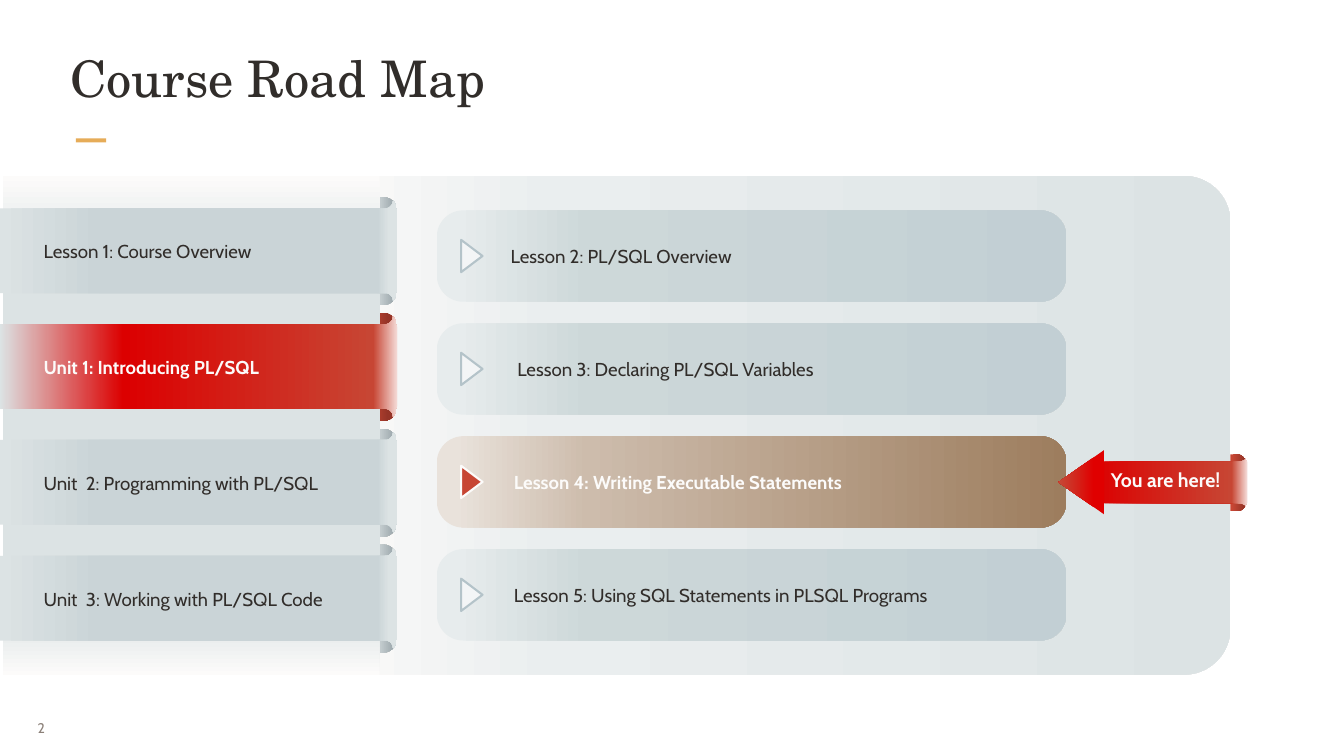
from dataclasses import dataclass

from lxml import etree
from pptx import Presentation
from pptx.dml.color import RGBColor
from pptx.enum.shapes import MSO_SHAPE
from pptx.enum.text import MSO_ANCHOR, MSO_AUTO_SIZE, PP_ALIGN
from pptx.oxml.ns import qn
from pptx.util import Pt

RECT = MSO_SHAPE.RECTANGLE
ROUND = MSO_SHAPE.ROUNDED_RECTANGLE
WEDGE = MSO_SHAPE.ISOSCELES_TRIANGLE
TOP, MIDDLE = MSO_ANCHOR.TOP, MSO_ANCHOR.MIDDLE
LEFT, CENTER = PP_ALIGN.LEFT, PP_ALIGN.CENTER
FIT, FIXED = MSO_AUTO_SIZE.SHAPE_TO_FIT_TEXT, MSO_AUTO_SIZE.NONE


@dataclass(frozen=True)
class Theme:
    head: str = "TeX Gyre Schola"
    body: str = "Cabin"
    title: int = 54
    label: int = 20
    call: int = 21
    small: int = 15
    ink: str = "312D2A"
    light: str = "FCFBFA"
    muted: str = "8B8078"
    gold: str = "E6AC58"
    red: str = "C74634"
    pale: str = "F3F5F6"
    edge: str = "B4C3C9"
    board: tuple = ((0, "FCFBFA"), (26, "EAEEEF"), (100, "DCE3E4"))
    panel: tuple = ((0, "FCFBFA"), (17, "DCE3E4"), (87, "DCE3E4"), (100, "FCFBFA"))
    bar: tuple = ((3, "E7ECED"), (24, "CDD8D9"), (100, "C2CFD4"))
    bar_on: tuple = ((3, "E9E2DB"), (24, "CDBCAC"), (100, "9D7D5E"))
    tab: tuple = ((77, "DEE4E5"), (99, "96A2A7"))
    tab_on: tuple = ((73, "C74634"), (92, "953427"))
    band: tuple = ((0, "DCE3E4"), (25, "CAD4D7"), (95, "CAD4D7"), (98, "DCE3E4"))
    band_on: tuple = ((0, "DCE3E4"), (31, "DC0000"), (94, "C74634"), (100, "F4DAD6"))
    strip: tuple = ((0, "DC0000"), (90, "C74634"), (100, "F4DAD6"))
    curl: tuple = ((11, "C74634"), (92, "953427"))
    tip: tuple = ((0, "E00000"), (23, "E00000"), (96, "C74634"))


def curve(a, b, c, d, steps=6):
    points = []
    for i in range(steps + 1):
        t = i / steps
        u = 1 - t
        points.append(tuple(
            u**3 * p + 3 * u * u * t * q + 3 * u * t * t * r + t**3 * s
            for p, q, r, s in zip(a, b, c, d)))
    return points


class Deck:
    def __init__(self, theme, width, height):
        self.theme = theme
        self.file = Presentation()
        self.file.slide_width, self.file.slide_height = Pt(width), Pt(height)
        self.slide = self.file.slides.add_slide(self.file.slide_layouts[5])

    def paint(self, shape, fill, angle=0, line=None):
        shape.shadow.inherit = False
        if isinstance(fill, str):
            shape.fill.solid()
            shape.fill.fore_color.rgb = RGBColor.from_string(fill)
        else:
            shape.fill.gradient()
            shape.fill.gradient_angle = (360 - angle) % 360
            stops = next(shape._element.iter(qn("a:gsLst")))
            for old in list(stops):
                stops.remove(old)
            for place, color in fill:
                stop = etree.SubElement(stops, qn("a:gs"), pos=str(place * 1000))
                etree.SubElement(stop, qn("a:srgbClr"), val=color)
        if line:
            shape.line.color.rgb = RGBColor.from_string(line)
            shape.line.width = Pt(2.25)
        else:
            shape.line.fill.background()
        return shape

    def block(self, kind, box, fill, angle=0, line=None, turn=0, bend=None):
        shape = self.slide.shapes.add_shape(kind, *map(Pt, box))
        shape.rotation = turn
        if bend is not None:
            shape.adjustments[0] = bend
        return self.paint(shape, fill, angle, line)

    def mirror(self, half, middle, fill):
        whole = half + [(x, 2 * middle - y) for x, y in reversed(half)]
        points = [(Pt(x), Pt(y)) for x, y in whole]
        form = self.slide.shapes.build_freeform(*points[0])
        form.add_line_segments(points[1:])
        return self.paint(form.convert_to_shape(), fill)

    def ribbon(self, box, fold, bend, fill):
        left, top, width, height = box
        right = left + width
        lip, drop = right - fold / 2, top + fold * 1.65
        inner, notch = right - bend, lip - fold / 12
        edge, dip = top + fold, top + fold * 0.42
        half = [(left, edge)]
        half += curve((inner, edge), (inner + bend * 0.3, edge),
                      (notch - bend * 0.17, top + fold * 0.84), (notch, dip))
        half += curve((lip, top), (right - fold * 0.16, top + fold * 0.42),
                      (right, top + fold), (right, drop))
        return self.mirror(half, top + height / 2, fill)

    def curl(self, box, fill):
        left, top, width, height = box
        right, size = left + width, 10
        half = [(left, top)] + curve(
            (right - size, top), (right - size * 0.45, top),
            (right, top + size * 0.45), (right, top + size))
        return self.mirror(half, top + height / 2, fill)

    def style(self, frame, text, size, color, font, bold=False, align=LEFT):
        frame.text = text
        frame.word_wrap = True
        para = frame.paragraphs[0]
        para.alignment = align
        face = para.runs[0].font
        face.name, face.size, face.bold = font, Pt(size), bold
        face.color.rgb = RGBColor.from_string(color)

    def label(self, box, text, size, color, bold=False, align=LEFT,
              anchor=MIDDLE, fit=FIT):
        shape = self.slide.shapes.add_textbox(*map(Pt, box))
        frame = shape.text_frame
        self.style(frame, text, size, color, self.theme.body, bold, align)
        frame.vertical_anchor = anchor
        frame.auto_size = fit
        return shape

    def title(self, box, text):
        shape = self.slide.shapes.title
        shape.left, shape.top, shape.width, shape.height = map(Pt, box)
        frame = shape.text_frame
        self.style(frame, text, self.theme.title, self.theme.ink, self.theme.head)
        frame.vertical_anchor = TOP
        frame.auto_size = FIXED
        frame.margin_left = frame.margin_right = Pt(2)
        frame.margin_top = frame.margin_bottom = Pt(2)

    def group(self, shapes):
        self.slide.shapes.add_group_shape(shapes)


def main():
    theme = Theme()
    deck = Deck(theme, 1440, 810)
    deck.title((73.4, 48.2, 1293, 92), "Course Road Map")
    deck.block(RECT, (81.4, 148.3, 32.4, 4.3), theme.gold)
    page = deck.label((31, 759, 46.8, 41.8), "2", theme.small, theme.muted, fit=FIXED)
    page.text_frame.margin_left = page.text_frame.margin_right = Pt(9.4)
    deck.block(ROUND, (337.7, 188.6, 980.6, 534.2), theme.board, bend=0.093)

    lessons = [
        ("Lesson 2: PL/SQL Overview", 540, 530.6, False),
        ("Lesson 3: Declaring PL/SQL Variables", 547.2, 482.4, False),
        ("Lesson 4: Writing Executable Statements", 543.6, 482.4, True),
        ("Lesson 5: Using SQL Statements in PLSQL Programs", 543.6, 560.2, False),
    ]
    for row, (text, left, width, here) in enumerate(lessons):
        top = 225.4 + 121 * row
        deck.block(ROUND, (468, top, 674.6, 97.9),
                   theme.bar_on if here else theme.bar, bend=0.289)
        deck.label((left, top + 33.2, width, 31.7), text, theme.label,
                   theme.light if here else theme.ink, here)
        deck.block(WEDGE, (488.2, top + 37.4, 34.6, 23), theme.red if here else theme.pale,
                   line=theme.light if here else theme.edge, turn=90)

    deck.group([
        deck.curl((1318.3, 486.7, 16.6, 61.2), theme.curl),
        deck.ribbon((1170.7, 491, 165.6, 51.8), 3.6, 10.8, theme.strip),
        deck.block(WEDGE, (1123.9, 491.8, 69.8, 49.7), theme.tip, angle=270, turn=270),
        deck.label((1170.7, 498.2, 156.2, 32.4), "You are here!", theme.call,
                   theme.light, True, CENTER, TOP),
    ])

    units = [
        ("Lesson 1: Course Overview", 373.7, False),
        ("Unit 1: Introducing PL/SQL", 346.3, True),
        ("Unit  2: Programming with PL/SQL", 369.4, False),
        ("Unit  3: Working with PL/SQL Code", 337.7, False),
    ]
    tops = [214.6 + 124.1 * row for row in range(len(units))]
    for top, (text, width, here) in zip(tops, units):
        deck.block(ROUND, (311, top - 3.5, 113.8, 115.9),
                   theme.tab_on if here else theme.tab, bend=0.126)
    deck.block(RECT, (2.9, 188.6, 403.9, 535), theme.panel, angle=90)
    for top, (text, width, here) in zip(tops, units):
        deck.ribbon((0, top, 425.5, 108), 8.6, 12.9,
                    theme.band_on if here else theme.band)
        deck.label((39.6, top + 38.8, width, 31.7), text, theme.label,
                   theme.light if here else theme.ink, here)

    deck.file.save("out.pptx")


if __name__ == "__main__":
    main()
